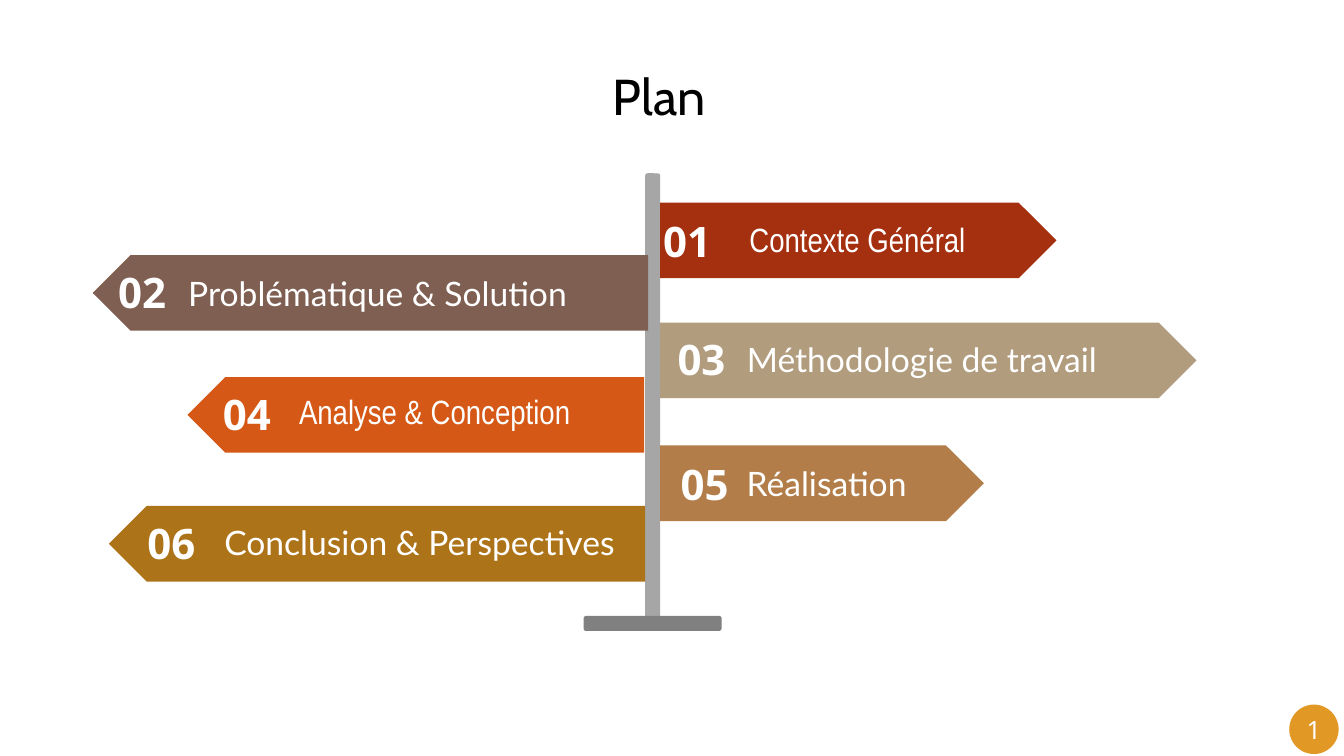
import pptx
import pptx.util
import pptx.dml.color
import pptx.enum.shapes
import pptx.enum.text

Pt = pptx.util.Pt
RGB = pptx.dml.color.RGBColor
SHAPE = pptx.enum.shapes.MSO_SHAPE
ALIGN = pptx.enum.text.PP_ALIGN
ANCHOR = pptx.enum.text.MSO_ANCHOR

WHITE = RGB(0xFF, 0xFF, 0xFF)
BLACK = RGB(0, 0, 0)
POST_GREY = RGB(0xA6, 0xA6, 0xA6)
BASE_GREY = RGB(0x80, 0x80, 0x80)
RED = RGB(0xA5, 0x30, 0x0F)
BROWN = RGB(0x7F, 0x5F, 0x52)
SAND = RGB(0xB1, 0x9C, 0x7D)
TAN = RGB(0xB2, 0x7D, 0x49)
ORANGE = RGB(0xD5, 0x58, 0x16)
OCHRE = RGB(0xAD, 0x73, 0x18)
GOLD = RGB(0xE1, 0x98, 0x25)

TITLE = "Plan"
PAGE = "1"
# number, label, label font, colour, side, plate (left, top, width), number (centre, top), label (centre, top)
SIGNS = [
    ("01", "Contexte Général", "Arial Narrow", RED, "right", (471.6, 144.7, 283), (490.9, 150.5), (612.4, 152.6)),
    ("02", "Problématique & Solution", "Lato", BROWN, "left", (66.2, 182.2, 396.7), (101.5, 187.2), (269.6, 191.5)),
    ("03", "Méthodologie de travail", "Lato", SAND, "right", (471.6, 230.4, 383), (501.1, 234.7), (658.4, 238.3)),
    ("05", "Réalisation", "Lato", TAN, "right", (471.6, 318.2, 231.1), (503.3, 324), (590.4, 326.9)),
    ("04", "Analyse & Conception", "Arial Narrow", ORANGE, "left", (133.9, 269.3, 326.2), (176.4, 274.3), (310.4, 275.8)),
    ("06", "Conclusion & Perspectives", "Lato", OCHRE, "left", (77.8, 361.4, 383), (122.4, 365.8), (299.6, 369.4)),
]
PLATE_H = 54
NUMBER_W, NUMBER_H = 86, 44
LABEL_W, LABEL_H = 370, 36


def write(tf, text, font, size, color, bold=False):
    tf.text = text
    p = tf.paragraphs[0]
    p.alignment = ALIGN.CENTER
    f = p.runs[0].font
    f.name, f.size, f.bold = font, Pt(size), bold
    f.color.rgb = color


def add_shape(shapes, kind, left, top, width, height, color):
    sp = shapes.add_shape(kind, Pt(left), Pt(top), Pt(width), Pt(height))
    sp.shadow.inherit = False
    sp.fill.solid()
    sp.fill.fore_color.rgb = color
    sp.line.fill.background()
    return sp


def add_text(shapes, center, top, width, height, *style):
    tb = shapes.add_textbox(Pt(center - width / 2), Pt(top), Pt(width), Pt(height))
    tb.text_frame.word_wrap = True
    write(tb.text_frame, *style)


def add_sign(s, number, label, font, color, side, plate, number_at, label_at):
    shapes = s.shapes.add_group_shape().shapes
    sp = add_shape(shapes, SHAPE.PENTAGON, *plate, PLATE_H, color)
    if side == "left":
        sp.rotation = 180
    add_text(shapes, *label_at, LABEL_W, LABEL_H, label, font, 24, WHITE)
    add_text(shapes, *number_at, NUMBER_W, NUMBER_H, number, "Open Sans", 30, WHITE, True)


def main():
    prs = pptx.Presentation()
    prs.slide_width, prs.slide_height = Pt(960), Pt(540)
    s = prs.slides.add_slide(prs.slide_layouts[5])

    title = s.shapes.title
    title.left, title.top, title.width, title.height = Pt(90), Pt(43.2), Pt(762), Pt(51)
    tf = title.text_frame
    tf.auto_size = pptx.enum.text.MSO_AUTO_SIZE.NONE
    tf.vertical_anchor = ANCHOR.TOP
    write(tf, TITLE, "Cabin", 36, BLACK)

    add_shape(s.shapes, SHAPE.ROUNDED_RECTANGLE, 460.8, 123.8, 10.8, 319.7, POST_GREY)
    add_shape(s.shapes, SHAPE.ROUNDED_RECTANGLE, 416.9, 439.9, 98.6, 10.8, BASE_GREY)

    for sign in SIGNS:
        add_sign(s, *sign)

    badge = add_shape(s.shapes, SHAPE.OVAL, 920.9, 503.3, 35.3, 35.3, GOLD)
    tf = badge.text_frame
    tf.word_wrap = False
    tf.vertical_anchor = ANCHOR.MIDDLE
    write(tf, PAGE, "Noto Sans", 18, WHITE)

    prs.save("out.pptx")


if __name__ == "__main__":
    main()
